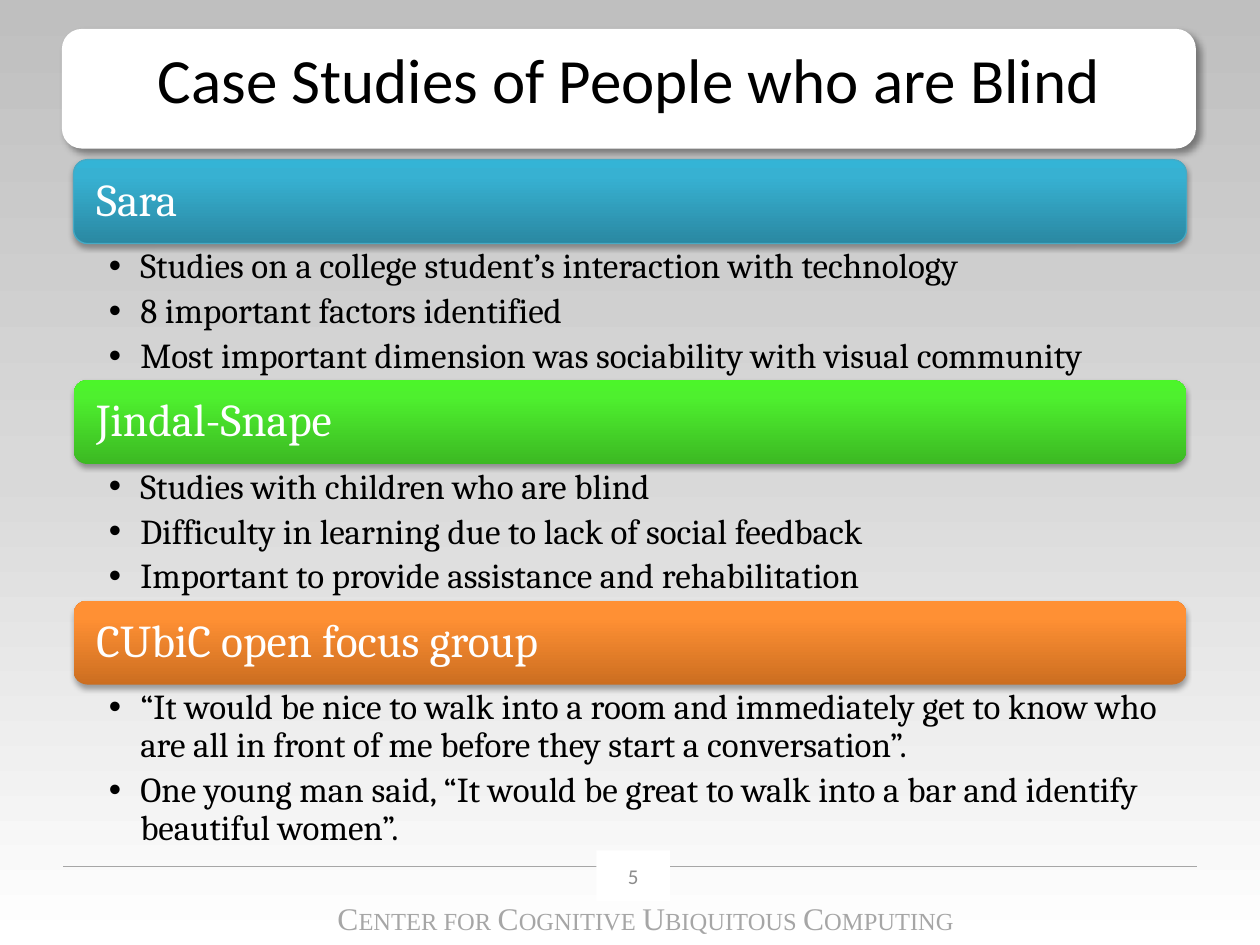
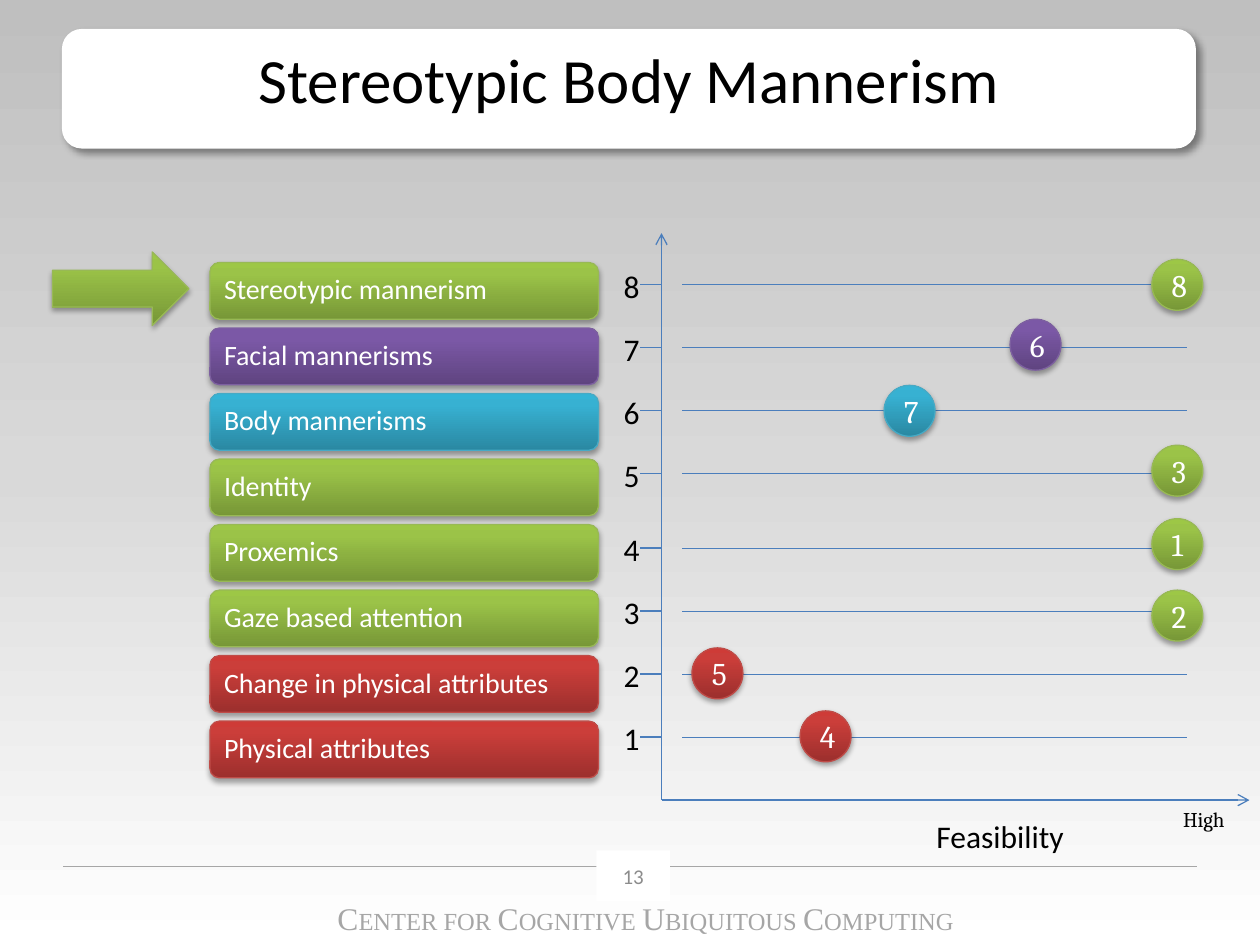
from lxml.etree import SubElement
from pptx import Presentation
from pptx.dml.color import RGBColor
from pptx.enum.dml import MSO_LINE
from pptx.enum.shapes import MSO_CONNECTOR, MSO_SHAPE
from pptx.enum.text import MSO_ANCHOR, PP_ALIGN
from pptx.oxml.ns import qn
from pptx.util import Inches, Pt

WIDE, HIGH = Inches(10), Inches(7.5)
COLS, ROWS = 120, 90

BACK = [(0, "BFBFBF"), (50, "D9D9D9"), (100, "FFFFFF")]
GREEN = ("779737", "9BC348", "9DC746", "98B955")
PURPLE = ("5F4480", "7B58A6", "7C57A8", "7D60A0")
BLUE = ("2A88A2", "37B1D2", "34B4D6", "46AAC5")
RED = ("9C2F2D", "CB3E3A", "CE3B37", "BF4C48")
LIME = ("3CB923", "4EF02E", "4CF52A")
ORANGE = ("CC6E20", "FF9034", "FF9136")
WHITE, BLACK, GRAY, AXIS = "FFFFFF", "000000", "A6A6A6", "4B7EBC"

SOFT = {"alpha": 35, "blur": 3.1, "dist": 1.8, "turn": 90}
DEEP = {"alpha": 40, "blur": 4, "dist": 3, "turn": 45}

TITLE = {"name": "Calibri", "size": 36, "color": BLACK}
PAGE = {"name": "Calibri", "size": 12, "color": "8C8C8C"}
HEAD = {"name": "Cambria", "size": 26, "color": WHITE}
BODY = {"name": "Cambria", "size": 20, "color": BLACK}
ROW = {"name": "Calibri", "size": 16, "color": WHITE}
BALL = {"name": "Cambria", "size": 18, "color": WHITE}
LABEL = {"name": "Calibri", "size": 18, "color": BLACK}
NOTE = {"name": "Cambria", "size": 12, "color": BLACK}
LARGE = {"name": "Times New Roman", "size": 18, "color": GRAY}
SMALL = {**LARGE, "size": 14}

CASES = [
    ("Sara", BLUE, 13.1, [
        "Studies on a college student’s interaction with technology",
        "8 important factors identified",
        "Most important dimension was sociability with visual community"]),
    ("Jindal-Snape", LIME, 13.1, [
        "Studies with children who are blind",
        "Difficulty in learning due to lack of social feedback",
        "Important to provide assistance and rehabilitation"]),
    ("CUbiC open focus group", ORANGE, 15.5, [
        "“It would be nice to walk into a room and immediately get to know who "
        "are all in front of me before they start a conversation”.",
        "One young man said, “It would be great to walk into a bar and identify "
        "beautiful women”."]),
]

NEEDS = [
    ("Stereotypic mannerism", GREEN, "8", 109.7, 24.7),
    ("Facial mannerisms", PURPLE, "6", 96.2, 30.4),
    ("Body mannerisms", BLUE, "7", 84.2, 36.7),
    ("Identity", GREEN, "3", 109.7, 42.4),
    ("Proxemics", GREEN, "1", 109.7, 49.4),
    ("Gaze based attention", GREEN, "2", 109.7, 56.2),
    ("Change in physical attributes", RED, "5", 65.9, 61.7),
    ("Physical attributes", RED, "4", 76.2, 67.7),
]


def color(code):
    return RGBColor.from_string(code)


def across(col):
    return round(WIDE * col / COLS)


def down(row):
    return round(HIGH * row / ROWS)


def place(left, top, width, height):
    return across(left), down(top), across(width), down(height)


def apply(item, values):
    for name, value in values.items():
        setattr(item, name, value)


def shade(shape, stops, angle):
    shape.fill.gradient()
    shape.fill.gradient_angle = angle
    group = shape._element.spPr.find(".//" + qn("a:gsLst"))
    group.clear()
    for share, code in stops:
        stop = SubElement(group, qn("a:gs"), pos=str(share * 1000))
        SubElement(stop, qn("a:srgbClr"), val=code)


def cast(shape, alpha, blur, dist, turn):
    effects = shape._element.spPr.find(qn("a:effectLst"))
    shadow = SubElement(effects, qn("a:outerShdw"), blurRad=str(Pt(blur)),
                        dist=str(Pt(dist)), dir=str(turn * 60000), rotWithShape="0")
    tint = SubElement(shadow, qn("a:srgbClr"), val=BLACK)
    SubElement(tint, qn("a:alpha"), val=str(alpha * 1000))


def block(slide, kind, box, fill=None, shadow=None):
    shape = slide.shapes.add_shape(kind, *place(*box))
    shape.shadow.inherit = False
    shape.line.fill.background()
    if fill:
        shape.fill.solid()
        shape.fill.fore_color.rgb = color(fill)
    if shadow:
        cast(shape, **shadow)
    return shape


def gloss(slide, kind, box, tones):
    shape = block(slide, kind, box, shadow=SOFT)
    shade(shape, zip((0, 80, 100), tones), 90)
    if len(tones) > 3:
        shape.line.color.rgb = color(tones[3])
        shape.line.width = Pt(0.75)
    return shape


def style(font, look):
    apply(font, {"name": look["name"], "size": Pt(look["size"])})
    font.color.rgb = color(look["color"])


def dot(para):
    props = para._p.get_or_add_pPr()
    apply_to = {"marL": Inches(0.25), "indent": -Inches(0.25)}
    for name, value in apply_to.items():
        props.set(name, str(value))
    SubElement(props, qn("a:buFont"), typeface="Arial")
    SubElement(props, qn("a:buChar"), char="•")


def write(shape, lines, look, align=PP_ALIGN.LEFT, bullet=False, form=None, **frame):
    apply(shape.text_frame, {"word_wrap": True, **frame})
    for count, line in enumerate(lines):
        text = shape.text_frame
        para = text.add_paragraph() if count else text.paragraphs[0]
        if bullet:
            dot(para)
        apply(para, {"alignment": align, **(form or {})})
        run = para.add_run()
        run.text = line
        style(run.font, look)


def label(slide, box, text, look):
    shape = slide.shapes.add_textbox(*place(*box))
    write(shape, [text], look, word_wrap=False)


def rule(slide, start, end, code, width=0.75, arrow=False, dash=None):
    line = slide.shapes.add_connector(
        MSO_CONNECTOR.STRAIGHT, across(start[0]), down(start[1]),
        across(end[0]), down(end[1]))
    line.line.color.rgb = color(code)
    apply(line.line, {"width": Pt(width), "dash_style": dash})
    props = line._element.spPr
    if arrow:
        SubElement(props.find(qn("a:ln")), qn("a:tailEnd"), type="arrow")
    SubElement(props, qn("a:effectLst"))


def footer(slide):
    shape = slide.shapes.add_textbox(*place(26, 85, 71, 4.8))
    shape.text_frame.word_wrap = True
    para = shape.text_frame.paragraphs[0]
    para.alignment = PP_ALIGN.CENTER
    for part in ("CENTER FOR ", "COGNITIVE ", "UBIQUITOUS ", "COMPUTING"):
        for text, look in ((part[0], LARGE), (part[1:], SMALL)):
            run = para.add_run()
            run.text = text
            style(run.font, look)


def start(deck, title, page):
    slide = deck.slides.add_slide(deck.slide_layouts[6])
    back = block(slide, MSO_SHAPE.RECTANGLE, (0, 0, COLS, ROWS))
    shade(back, BACK, 270)
    band = block(slide, MSO_SHAPE.ROUNDED_RECTANGLE, (5.9, 2.75, 108, 11.4), WHITE, DEEP)
    write(band, [title], TITLE, PP_ALIGN.CENTER, vertical_anchor=MSO_ANCHOR.TOP)
    footer(slide)
    rule(slide, (6, 82.5), (114, 82.5), GRAY)
    plate = block(slide, MSO_SHAPE.RECTANGLE, (56.8, 81, 7, 4.8), WHITE)
    write(plate, [page], PAGE, PP_ALIGN.CENTER, vertical_anchor=MSO_ANCHOR.MIDDLE)
    return slide


def bar(slide, box, text, tones, look, inset):
    shape = gloss(slide, MSO_SHAPE.ROUNDED_RECTANGLE, box, tones)
    write(shape, [text], look, form={"line_spacing": 0.9},
          margin_left=Inches(inset), vertical_anchor=MSO_ANCHOR.MIDDLE)


def studies(slide):
    for count, (name, tones, height, points) in enumerate(CASES):
        top = 15.2 + 21 * count
        bar(slide, (7, top, 106, 8), name, tones, HEAD, 0.15)
        body = slide.shapes.add_textbox(*place(7, top + 8, 106, height))
        write(body, points, BODY, bullet=True,
              form={"line_spacing": 0.9, "space_after": Pt(4)},
              margin_left=Inches(0.28), margin_right=Inches(0.2),
              margin_top=Inches(0.04), margin_bottom=Inches(0.04))


def axes(slide):
    base = (63, 76.2)
    for end in ((119, 76.2), (63, 22.2)):
        rule(slide, base, end, AXIS, arrow=True)
    label(slide, (88, 77.2, 14.6, 4.8), "Feasibility", LABEL)
    label(slide, (111.5, 76.2, 6.5, 3.6), "High", NOTE)
    for rank in range(1, 9):
        half, step = divmod(rank - 1, 4)
        level = (70.2, 45.1)[half] - 6 * step
        rule(slide, (61, level), (63, level), AXIS)
        rule(slide, (65, level), (113, level), AXIS, 0.25, dash=MSO_LINE.ROUND_DOT)
        label(slide, (58.2, level - 2.3, 4, 4.8), str(rank), LABEL)


def ranking(slide):
    axes(slide)
    for count, (name, tones, mark, left, top) in enumerate(NEEDS):
        bar(slide, (20, 25 + 6.24 * count, 37, 5.4), name, tones, ROW, 0.09)
        ball = gloss(slide, MSO_SHAPE.OVAL, (left, top, 4.85, 4.85), tones)
        write(ball, [mark], BALL, PP_ALIGN.CENTER, vertical_anchor=MSO_ANCHOR.MIDDLE)
    gloss(slide, MSO_SHAPE.RIGHT_ARROW, (5, 24, 13, 7), GREEN)


def main():
    deck = Presentation()
    apply(deck, {"slide_width": WIDE, "slide_height": HIGH})
    studies(start(deck, "Case Studies of People who are Blind", "5"))
    ranking(start(deck, "Stereotypic Body Mannerism", "13"))
    deck.save("out.pptx")


if __name__ == "__main__":
    main()
